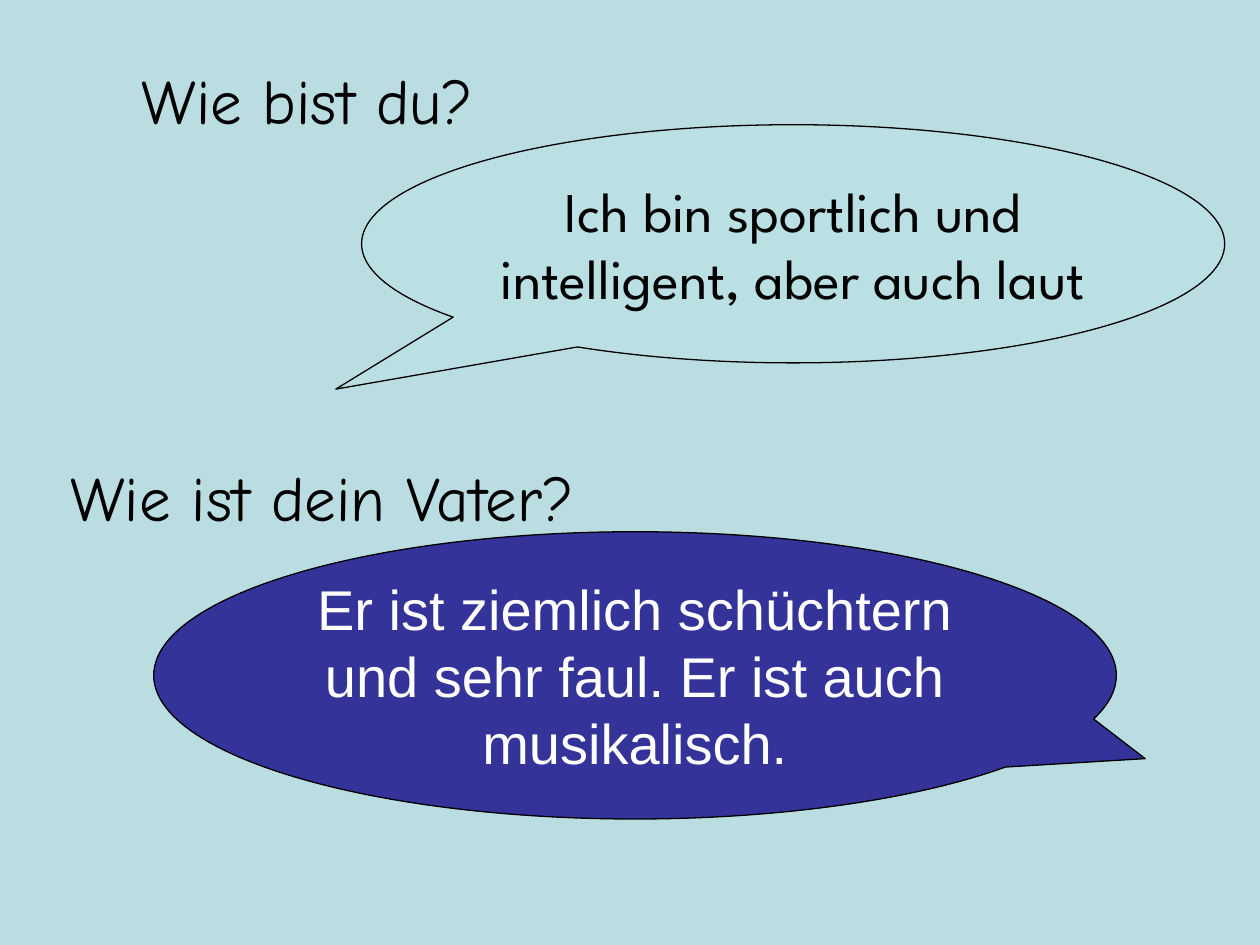
from lxml import etree
from pptx import Presentation
from pptx.dml.color import RGBColor
from pptx.enum.shapes import MSO_SHAPE as Shape
from pptx.enum.text import MSO_ANCHOR as Anchor, PP_ALIGN as Align
from pptx.oxml.ns import qn
from pptx.util import Inches, Pt

BLACK = "000000"


def paint(color_format, value):
    """Set a colour from a hex string."""
    color_format.rgb = RGBColor.from_string(value)


def add_text(frame, text, font, size, color):
    """Write one centred run and return it."""
    para = frame.paragraphs[0]
    para.alignment = Align.CENTER
    span = para.add_run()
    span.text = text
    span.font.name = font
    span.font.size = Pt(size)
    span.font.fill.solid()
    paint(span.font.fill.fore_color, color)
    return span


def outline_text(span, color):
    """Give the letters of a run a thin outline."""
    properties = span.font._element
    line = etree.Element(qn("a:ln"), w=str(Pt(0.75)))
    fill = etree.SubElement(line, qn("a:solidFill"))
    etree.SubElement(fill, qn("a:srgbClr"), val=color)
    properties.insert(0, line)


def add_question(page, bounds, text):
    """Place an outlined question in the given box."""
    box = page.shapes.add_textbox(*map(Inches, bounds))
    box.text_frame.word_wrap = False
    box.text_frame.vertical_anchor = Anchor.TOP
    outline_text(add_text(box.text_frame, text, "Comic Neue", 36, BLACK), BLACK)


def add_answer(page, bounds, tip, text, font, fill, color):
    """Place an oval speech bubble whose tail ends at the tip."""
    bubble = page.shapes.add_shape(Shape.OVAL_CALLOUT, *map(Inches, bounds))
    bubble.shadow.inherit = False
    for index, offset in enumerate(tip):
        bubble.adjustments[index] = offset
    bubble.fill.solid()
    paint(bubble.fill.fore_color, fill)
    paint(bubble.line.color, BLACK)
    bubble.line.width = Pt(0.75)
    bubble.text_frame.word_wrap = True
    bubble.text_frame.vertical_anchor = Anchor.MIDDLE
    add_text(bubble.text_frame, text, font, 32, color)


def main():
    """Build the slide with two questions and their answers."""
    deck = Presentation()
    deck.slide_width, deck.slide_height = Inches(10), Inches(7.5)
    page = deck.slides.add_slide(deck.slide_layouts[6])
    page.background.fill.solid()
    paint(page.background.fill.fore_color, "BADDE1")

    add_question(page, (0.59, 0.44, 3.7, 0.55), "Wie bist du?")
    add_answer(page, (2.87, 0.99, 6.85, 1.89), (-0.53, 0.61),
               "Ich bin sportlich und intelligent, aber auch laut",
               "League Spartan", "BBE0E3", BLACK)
    add_question(page, (0.35, 3.59, 4.41, 0.55), "Wie ist dein Vater?")
    add_answer(page, (1.22, 4.22, 7.64, 2.28), (0.53, 0.29),
               "Er ist ziemlich schüchtern und sehr faul. Er ist auch musikalisch.",
               "Arial", "333399", "FFFFFF")
    deck.save("out.pptx")


if __name__ == "__main__":
    main()
